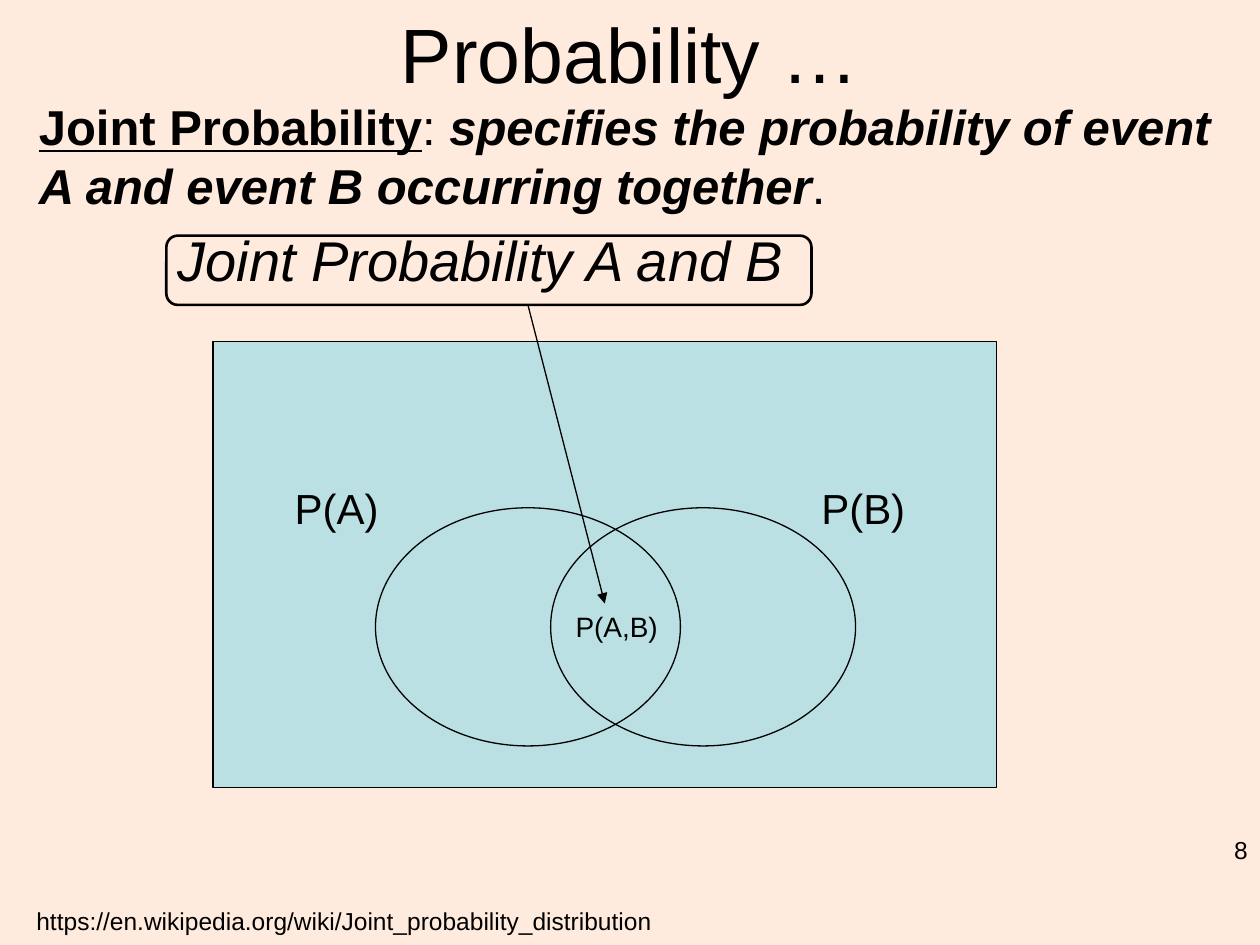
from dataclasses import dataclass
from pptx import Presentation, util as u
from pptx.dml.color import RGBColor
from pptx.enum import shapes as sh, text as tx
from pptx.oxml.ns import qn
from lxml import etree

Inches, Pt = u.Inches, u.Pt


@dataclass(frozen=True)
class Theme:
    font: str = "Arial"
    back: str = "FFEBDE"
    ink: str = "000000"
    pale: str = "BBE0E3"
    title: int = 44
    lead: int = 32
    body: int = 28
    label: int = 24
    small: int = 16
    note: int = 14
    thin: float = 0.75
    thick: float = 1.5


T = Theme()


def color(code):
    return RGBColor.from_string(code)


def fill_par(par, runs, size, align="LEFT", before=0, indent=0):
    """Write (words, style) runs; style holds any of b, i, u."""
    if indent:
        par._p.get_or_add_pPr().set("marL", str(Inches(indent)))
    par.alignment = getattr(tx.PP_ALIGN, align)
    par.space_before = Pt(before)
    for words, style in runs:
        run = par.add_run()
        run.text = words
        font = run.font
        font.name, font.size = T.font, Pt(size)
        font.color.rgb = color(T.ink)
        font.bold, font.italic, font.underline = (k in style for k in "biu")


def add_text(slide, box, words, size, wrap=True, anchor="TOP", **fmt):
    """Add a text box holding a plain string or a list of styled runs."""
    frame = slide.shapes.add_textbox(*map(Inches, box)).text_frame
    frame.word_wrap = wrap
    frame.vertical_anchor = getattr(tx.MSO_ANCHOR, anchor)
    runs = [(words, "")] if isinstance(words, str) else words
    fill_par(frame.paragraphs[0], runs, size, **fmt)
    return frame


def add_form(slide, kind, box, fill=None, width=T.thin):
    form = slide.shapes.add_shape(getattr(sh.MSO_SHAPE, kind), *map(Inches, box))
    form.shadow.inherit = False
    if fill:
        form.fill.solid()
        form.fill.fore_color.rgb = color(fill)
    else:
        form.fill.background()
    form.line.color.rgb = color(T.ink)
    form.line.width = Pt(width)


def add_arrow(slide, start, end):
    line = slide.shapes.add_connector(
        sh.MSO_CONNECTOR.STRAIGHT, *map(Inches, start + end))
    line.line.color.rgb = color(T.ink)
    line.line.width = Pt(T.thin)
    etree.SubElement(line.line._get_or_add_ln(), qn("a:tailEnd"), type="triangle")
    etree.SubElement(line._element.spPr, qn("a:effectLst"))


def add_body(slide, box):
    # Definition, then the callout words on their own line
    frame = add_text(slide, box, [
        ("Joint Probability", "bu"),
        (": ", ""),
        ("specifies the probability of event A and event B occurring together", "bi"),
        (".", ""),
    ], T.body)
    fill_par(frame.add_paragraph(), [("Joint Probability A and B", "i")],
             T.lead, before=6.4, indent=1.1)


def add_venn(slide, box):
    x, y, w, h = box
    add_form(slide, "RECTANGLE", box, T.pale)

    # Overlapping events
    wide, high, step = 2.42, 1.89, 1.39
    left, top = x + 1.29, y + 1.32
    for n, fill in enumerate((T.pale, None)):
        add_form(slide, "OVAL", (left + n * step, top, wide, high), fill)

    # Labels
    for name, dx in (("P(A)", 0.55), ("P(B)", 4.73)):
        add_text(slide, (x + dx, y + 1.07, 1, 0.5), name, T.label)
    add_text(slide, (x + 2.78, y + 2.08, 0.86, 0.37), "P(A,B)", T.small, wrap=False)

    # Callout frame, with its arrow to the overlap
    add_arrow(slide, (x + 2.5, y - 0.29), (x + 3.11, y + 2.08))
    add_form(slide, "ROUNDED_RECTANGLE", (x - 0.37, y - 0.84, 5.12, 0.55),
             width=T.thick)


def add_foot(slide, box):
    x, y, w, h = box
    add_text(slide, (x + w - 2.08, y, 2.08, 0.5), "8", T.note, align="RIGHT")
    add_text(slide, (x + 0.19, y + 0.56, 5.11, 0.34),
             "https://en.wikipedia.org/wiki/Joint_probability_distribution",
             T.note, wrap=False)


def main():
    deck = Presentation()
    deck.slide_width, deck.slide_height = Inches(10), Inches(7.5)
    slide = deck.slides.add_slide(deck.slide_layouts[6])
    slide.background.fill.solid()
    slide.background.fill.fore_color.rgb = color(T.back)

    add_text(slide, (0.75, 0, 8.5, 0.83), "Probability …", T.title,
             anchor="MIDDLE", align="CENTER")
    add_body(slide, (0.21, 0.72, 9.58, 5.77))
    add_foot(slide, (0, 6.58, 10, 0.92))
    add_venn(slide, (1.69, 2.71, 6.22, 3.54))
    deck.save("out.pptx")


if __name__ == "__main__":
    main()
